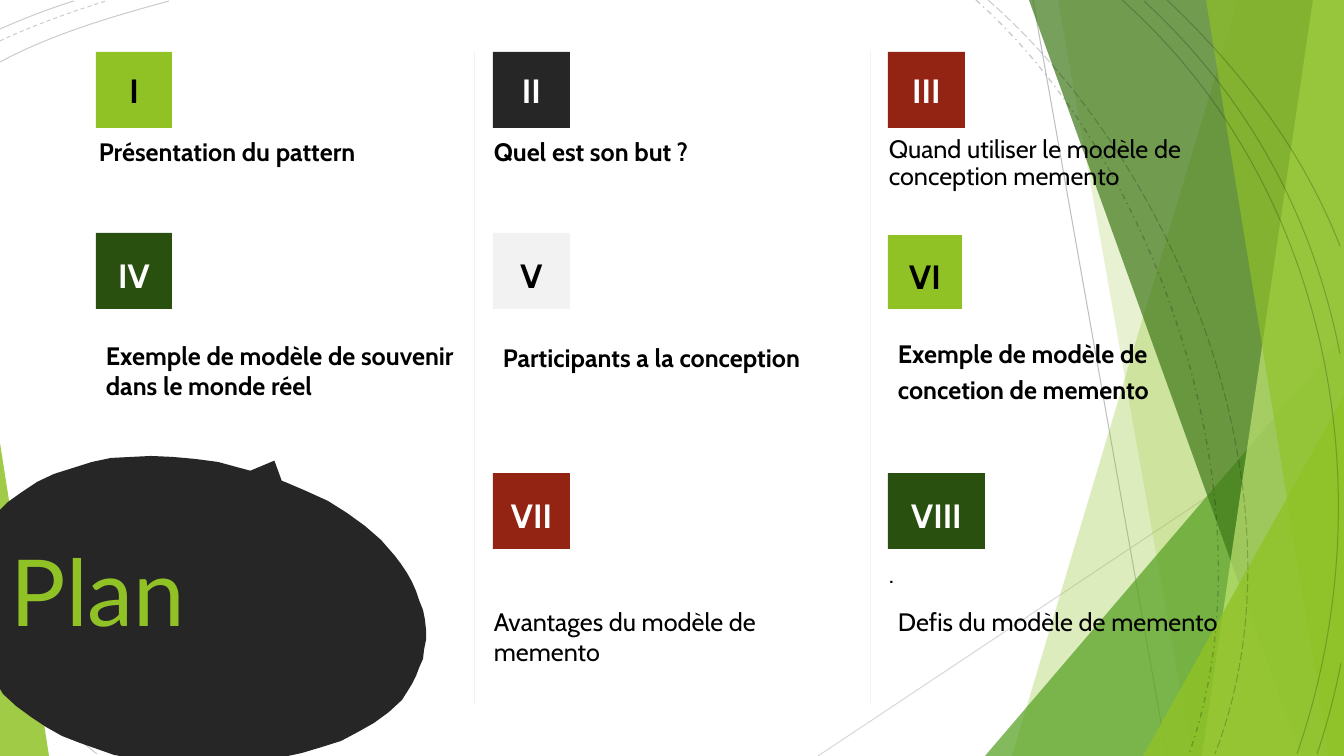
from lxml import etree
from pptx import Presentation
from pptx import util as u
from pptx.dml.color import RGBColor
from pptx.enum import dml, shapes, text
from pptx.oxml.ns import qn

PX = 914400 / 100.8
C = {"lime": "90C226", "green": "54A021", "forest": "3F7819", "pale": "C0E474",
     "deep": "2A5010", "dark": "262626", "red": "932313", "light": "F2F2F2",
     "black": "000000", "white": "FFFFFF", "grey": "BFBFBF", "silver": "D9D9D9"}
TRI = shapes.MSO_SHAPE.ISOSCELES_TRIANGLE
DASH = dml.MSO_LINE

prs = Presentation()
prs.slide_width, prs.slide_height = round(1344 * PX), round(756 * PX)
s = prs.slides.add_slide(prs.slide_layouts[6])


def paint(fmt, color, alpha=100):
    fmt.solid()
    fmt.fore_color.rgb = RGBColor.from_string(C[color])
    if alpha < 100:
        clr = fmt._xPr.find(qn("a:solidFill"))[0]
        etree.SubElement(clr, qn("a:alpha")).set("val", str(alpha * 1000))


def write(sp, words, size, color, font="Cabin", bold=False, spacing=1.0, align="LEFT", anchor="TOP"):
    tf = sp.text_frame
    tf.word_wrap = True
    tf.vertical_anchor = getattr(text.MSO_ANCHOR, anchor)
    p = tf.paragraphs[0]
    for key, value in {"alignment": getattr(text.PP_ALIGN, align),
                       "line_spacing": spacing, "space_before": u.Pt(10)}.items():
        setattr(p, key, value)
    r = p.add_run()
    r.text = words
    for key, value in {"name": font, "size": u.Pt(size), "bold": bold}.items():
        setattr(r.font, key, value)
    r.font.color.rgb = RGBColor.from_string(C[color])


lines = [
    (1033, 0, 1167, 756, "grey", 0.75),
    (1344, 406, 818, 756, "silver", 0.75),
    (474, 51, 474, 705, "light", 0.25),
    (870, 51, 870, 705, "light", 0.25),
]
for x1, y1, x2, y2, color, width in lines:
    ends = [round(v * PX) for v in (x1, y1, x2, y2)]
    cn = s.shapes.add_connector(shapes.MSO_CONNECTOR.STRAIGHT, *ends)
    paint(cn.line.fill, color)
    cn.line.width = u.Pt(width)
    etree.SubElement(cn._element.spPr, qn("a:effectLst"))

bands = [
    ([(1238, 0), (1344, 0), (1344, 756), (1012, 756)], "lime", 30),
    ([(1058, 0), (1344, 0), (1344, 756), (1192, 756)], "lime", 20),
    ((985, 336, 359, 420, 1), "green", 72),
    ([(1029, 0), (1344, 0), (1344, 756), (1301, 756)], "forest", 70),
    ([(1313, 0), (1344, 0), (1344, 756), (1202, 756)], "pale", 70),
    ([(1206, 0), (1344, 0), (1344, 756), (1329, 756)], "lime", 65),
    ((1143, 396, 201, 360, 1), "lime", 80),
    ((0, 443, 49, 313, 0), "lime", 85),
]
for shape, color, alpha in bands:
    if isinstance(shape, list):
        fb = s.shapes.build_freeform(*shape[0], scale=PX)
        fb.add_line_segments(shape[1:], close=True)
        sp = fb.convert_to_shape()
    else:
        sp = s.shapes.add_shape(TRI, *[round(v * PX) for v in shape[:4]])
        sp.adjustments[0] = shape[4]
    sp.shadow.inherit = False
    sp.line.fill.background()
    paint(sp.fill, color, alpha)

arcs = [
    ((0, 62), (52, 34), (114, 16), (169, 1), DASH.SOLID),
    ((212, 754), (135, 696), (62, 627), (0, 552), DASH.SOLID),
    ((0, 41), (34, 25), (71, 12), (106, 1), DASH.DASH),
    ((184, 755), (119, 704), (56, 645), (1, 582), DASH.DASH),
    ((0, 29), (23, 19), (48, 9), (74, 1), DASH.SOLID),
    ((168, 754), (109, 707), (51, 653), (0, 596), DASH.SOLID),
    ((150, 754), (98, 710), (46, 660), (0, 608), DASH.SOLID),
    ((131, 754), (85, 715), (41, 672), (0, 628), DASH.SOLID),
    ((97, 754), (64, 728), (31, 698), (0, 667), DASH.SOLID),
    ((976, 0), (1163, 167), (1275, 513), (1189, 754), DASH.DASH_DOT),
    ((988, 0), (1182, 170), (1312, 503), (1215, 754), DASH.LONG_DASH),
    ((1122, 0), (1331, 186), (1387, 494), (1297, 754), DASH.SOLID),
    ((1144, 1), (1248, 97), (1313, 216), (1340, 354), DASH.SOLID),
    ((1341, 663), (1335, 694), (1327, 725), (1317, 754), DASH.SOLID),
    ((1167, 0), (1241, 70), (1303, 151), (1340, 246), DASH.SOLID),
]
for start, *controls, dash in arcs:
    fb = s.shapes.build_freeform(*start, scale=PX)
    fb.add_line_segments(controls, close=False)
    sp = fb.convert_to_shape()
    outline = next(sp._element.iter(qn("a:path")))
    curve = etree.SubElement(outline, qn("a:cubicBezTo"))
    for step in outline.findall(qn("a:lnTo")):
        curve.append(step[0])
        outline.remove(step)
    sp.shadow.inherit = False
    sp.fill.background()
    paint(sp.line.fill, "black", 20)
    sp.line.width = u.Pt(1 if dash == DASH.DASH_DOT else 0.75)
    sp.line.dash_style = dash

bubble = [
    (151, 456), (173, 457), (195, 459), (218, 462), (240, 468), (262, 474), (285, 482),
    (306, 491), (328, 501), (347, 513), (365, 526), (381, 540), (395, 556), (401, 564),
    (407, 573), (412, 582), (416, 591), (419, 600), (423, 610), (425, 620), (426, 630),
    (426, 640), (424, 650), (423, 659), (419, 668), (416, 676), (412, 684), (407, 692),
    (402, 700), (389, 712), (374, 723), (358, 732), (341, 741), (322, 747), (302, 753),
    (288, 756), (120, 756), (114, 755), (97, 749), (80, 743), (62, 736), (46, 727),
    (31, 717), (16, 706), (3, 694), (0, 689), (0, 510), (8, 502), (22, 492), (37, 482),
    (54, 474), (73, 468), (92, 462), (111, 458), (131, 457)]
tail = s.shapes.add_shape(TRI, *[round(v * PX) for v in (174, 457, 166, 87)])
tail.rotation = 23.6
fb = s.shapes.build_freeform(*bubble[0], scale=PX)
fb.add_line_segments(bubble[1:], close=True)
for sp in (tail, fb.convert_to_shape()):
    sp.shadow.inherit = False
    sp.line.fill.background()
    paint(sp.fill, "dark")

title = s.shapes.add_textbox(*[round(v * PX) for v in (1, 529, 409, 107)])
write(title, "Plan", 66, "lime", font="Lato")

badges = [
    ("I", 96, 52, 76, 76, "lime", "black", 1.0),
    ("II", 493, 52, 77, 76, "dark", "white", 1.0),
    ("III", 888, 52, 77, 76, "red", "white", 1.0),
    ("IV", 96, 233, 76, 76, "deep", "white", 1.2),
    ("V", 493, 233, 77, 76, "light", "black", 1.2),
    ("VI", 888, 235, 74, 74, "lime", "black", 1.2),
    ("VII", 493, 473, 77, 76, "red", "white", 1.2),
    ("VIII", 888, 473, 97, 76, "deep", "white", 1.2),
]
for numeral, x, y, w, h, fill, ink, spacing in badges:
    sp = s.shapes.add_shape(shapes.MSO_SHAPE.RECTANGLE, *[round(v * PX) for v in (x, y, w, h)])
    sp.shadow.inherit = False
    sp.line.fill.background()
    paint(sp.fill, fill)
    write(sp, numeral, 24, ink, bold=True, spacing=spacing, align="CENTER", anchor="MIDDLE")

topics = [
    ("Présentation du pattern", 89, 131, 377, 50, True, 1.0),
    ("Quel est son but ?", 484, 131, 377, 50, True, 1.0),
    ("Quand utiliser le modèle de conception memento", 879, 132, 377, 69, False, 0.9),
    ("Exemple de modèle de souvenir dans le monde réel", 96, 335, 377, 73, True, 1.0),
    ("Participants a la conception", 493, 337, 377, 69, True, 1.0),
    ("Exemple de modèle de concetion de memento", 888, 327, 356, 79, True, 1.2),
    (".", 879, 547, 356, 178, False, 1.2),
    ("Avantages du modèle de memento", 484, 601, 377, 69, False, 1.0),
    ("Defis du modèle de memento", 888, 601, 377, 69, False, 1.0),
]
for words, x, y, w, h, bold, spacing in topics:
    sp = s.shapes.add_textbox(*[round(v * PX) for v in (x, y, w, h)])
    write(sp, words, 18, "black", bold=bold, spacing=spacing)

prs.save("out.pptx")
